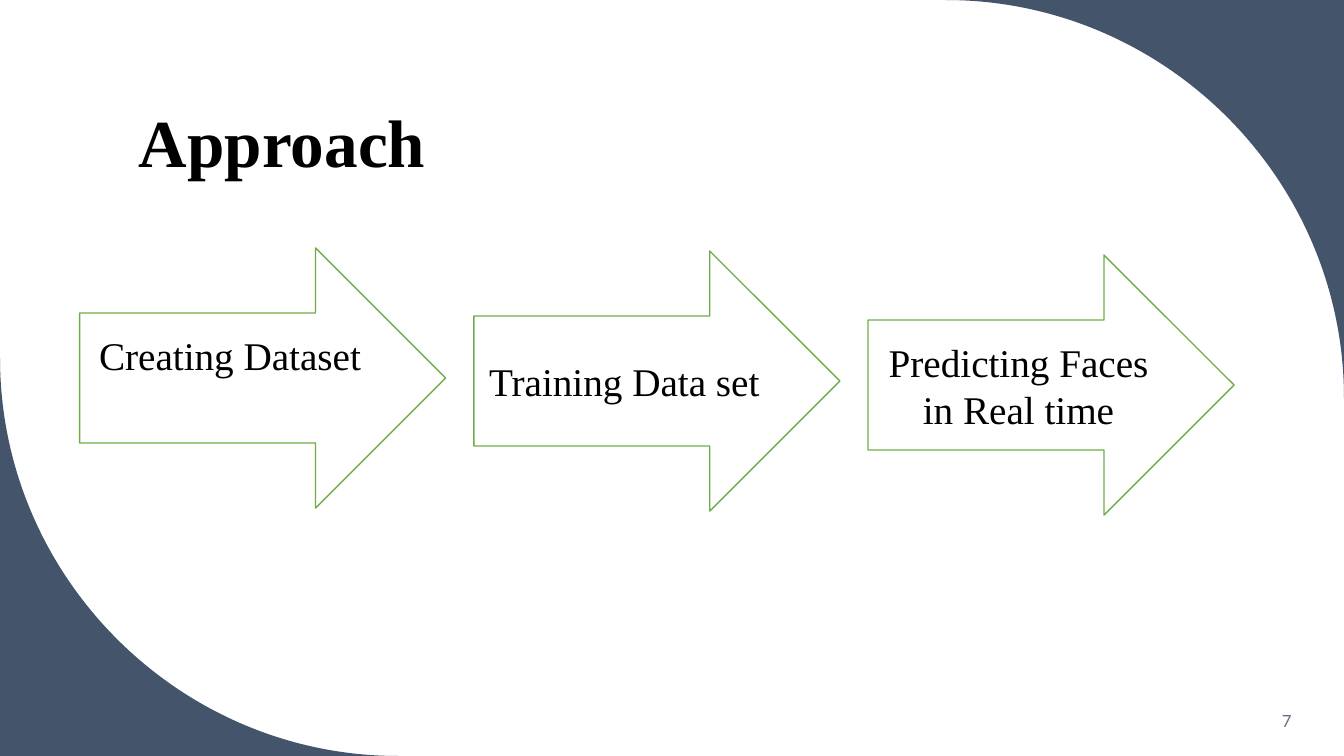
from lxml.etree import SubElement
from pptx import Presentation
from pptx.dml.color import RGBColor
from pptx.enum.shapes import MSO_SHAPE
from pptx.enum.text import MSO_ANCHOR, PP_ALIGN
from pptx.oxml.ns import qn
from pptx.util import Inches, Pt


def color(code):
    return RGBColor.from_string(code)


def write(frame, text, size, font, code, align, anchor, bold=False):
    frame.word_wrap = True
    frame.vertical_anchor = anchor
    par = frame.paragraphs[0]
    par.alignment = align
    run = par.add_run()
    run.text = text
    run.font.size = Pt(size)
    run.font.name = font
    run.font.bold = bold
    run.font.color.rgb = color(code)
    return par


deck = Presentation()
wide, high = Inches(13.33), Inches(7.5)
deck.slide_width, deck.slide_height = wide, high
slide = deck.slides.add_slide(deck.slide_layouts[6])
shapes = slide.shapes

side = Inches(3.95)
bend = [(0.55, 0), (1, 0.45), (1, 1)]
for left, top, turn in ((wide - side, 0, 0), (0, high - side, 180)):
    pen = shapes.build_freeform(side, 0)
    pen.add_line_segments([(0, 0), (side, side)], close=True)
    corner = pen.convert_to_shape(left, top)
    corner.rotation = turn
    corner.shadow.inherit = False
    corner.fill.solid()
    corner.fill.fore_color.rgb = color("44546A")
    corner.line.fill.background()
    edge = list(corner.element.iter(qn("a:lnTo")))[1]
    edge.tag = qn("a:cubicBezTo")
    edge.remove(edge[0])
    for x, y in bend:
        SubElement(edge, qn("a:pt"), x=str(round(x * side)), y=str(round(y * side)))

title = shapes.add_textbox(Inches(1.28), Inches(0.41), Inches(10.69), Inches(1.45))
head = write(title.text_frame, "Approach", 48, "Times New Roman", "000000",
             PP_ALIGN.LEFT, MSO_ANCHOR.BOTTOM, True)
head.line_spacing = 0.9

number = shapes.add_textbox(Inches(11.1), Inches(6.95), Inches(1.81), Inches(0.4))
write(number.text_frame, "7", 12, "Lato", "637183", PP_ALIGN.RIGHT, MSO_ANCHOR.MIDDLE)

start, pitch = 0.79, 3.91
stages = [
    ("Creating Dataset", 2.46, 0.5),
    ("Training Data set", 2.49, 0.05),
    ("Predicting Faces in Real time", 2.53, 0.05),
]
for col, (label, top, inset) in enumerate(stages):
    arrow = shapes.add_shape(MSO_SHAPE.RIGHT_ARROW, Inches(start + col * pitch),
                             Inches(top), Inches(3.63), Inches(2.58))
    arrow.shadow.inherit = False
    arrow.fill.solid()
    arrow.fill.fore_color.rgb = color("FFFFFF")
    arrow.line.color.rgb = color("70AD47")
    arrow.line.width = Pt(1)
    arrow.text_frame.margin_bottom = Inches(inset)
    write(arrow.text_frame, label, 28, "Times New Roman", "000000",
          PP_ALIGN.CENTER, MSO_ANCHOR.MIDDLE)

deck.save("out.pptx")
